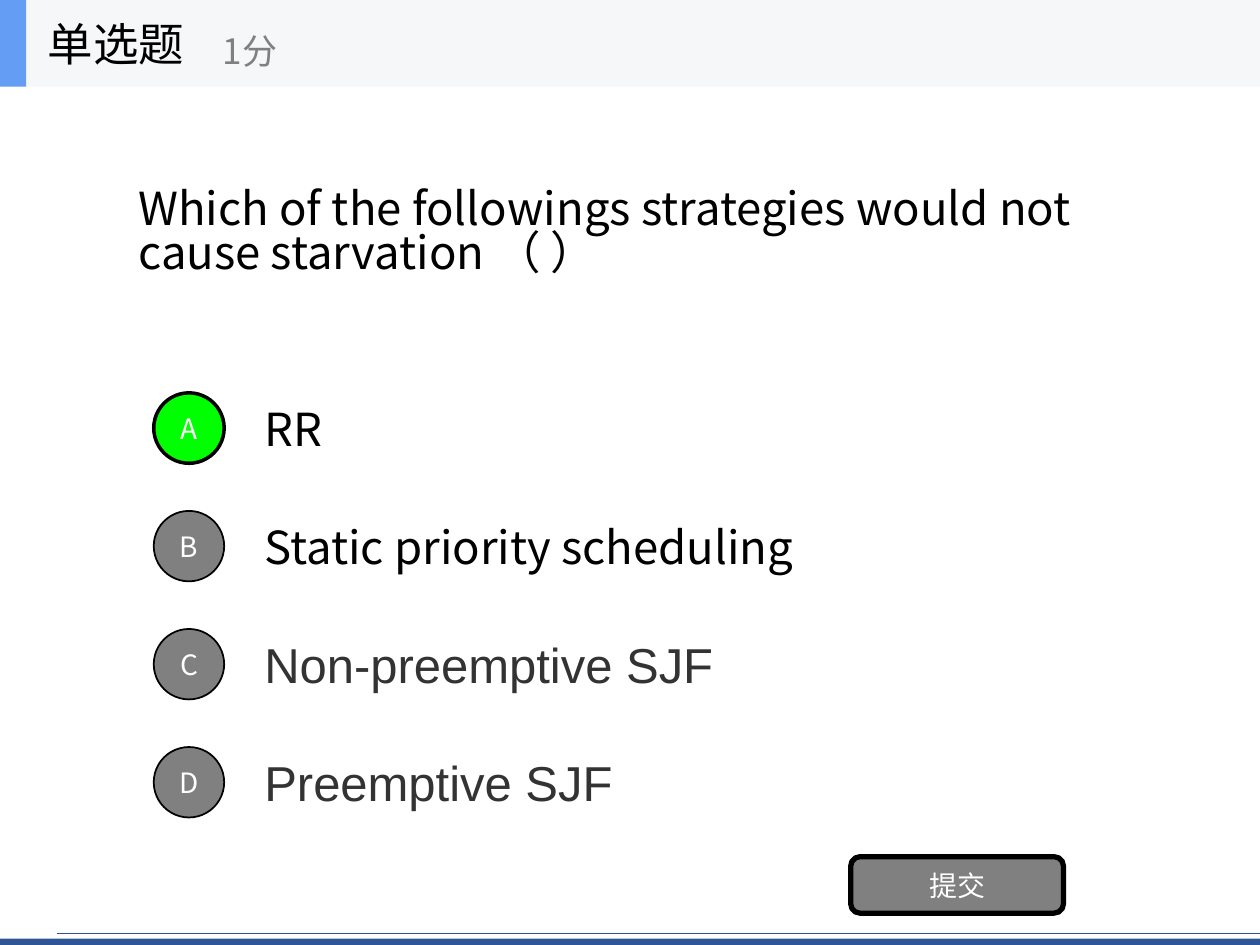
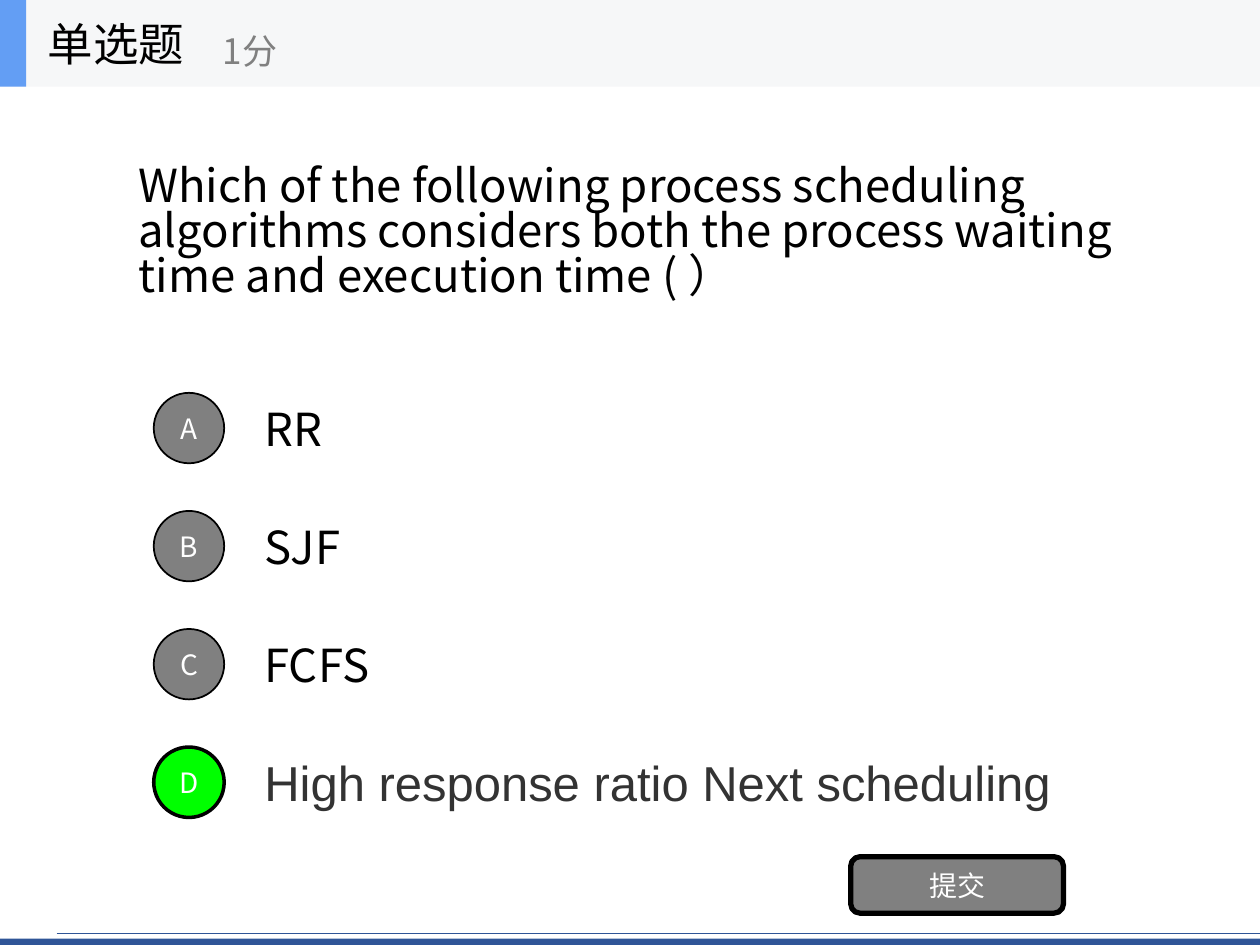
from lxml import etree
from pptx import Presentation
from pptx.dml.color import RGBColor
from pptx.enum.shapes import MSO_CONNECTOR, MSO_SHAPE
from pptx.enum.text import MSO_ANCHOR, PP_ALIGN
from pptx.oxml.ns import qn
from pptx.util import Cm, Pt

RECT, OVAL, ROUNDED = MSO_SHAPE.RECTANGLE, MSO_SHAPE.OVAL, MSO_SHAPE.ROUNDED_RECTANGLE
STRAIGHT = MSO_CONNECTOR.STRAIGHT
MIDDLE, CENTER = MSO_ANCHOR.MIDDLE, PP_ALIGN.CENTER

BLACK = RGBColor(0x00, 0x00, 0x00)
WHITE = RGBColor(0xFF, 0xFF, 0xFF)
GRAY = RGBColor(0x80, 0x80, 0x80)
CHARCOAL = RGBColor(0x33, 0x33, 0x33)
GREEN = RGBColor(0x00, 0xFF, 0x00)
NAVY = RGBColor(0x2F, 0x55, 0x97)
SKY = RGBColor(0x63, 0x9E, 0xF4)
PALE = RGBColor(0xF6, 0xF7, 0xF8)

SANS = "Noto Sans CJK SC"
BODY = {"name": SANS, "size": Pt(26)}
PASTED = {"name": "Arial", "size": Pt(28)}
POINTS = {"name": SANS, "size": Pt(20)}
LABEL = {"name": SANS, "size": Pt(16)}

WIDTH, HEIGHT = 25.4, 19.05
HEADER_BOX = (0, 0, WIDTH, 1.75)
QUESTION_BOX = (2.54, 1.75, 20.32, 5.94)
OPTIONS_BOX = (3.1, 7.74, 19.76, 8.92)
SUBMIT_BOX = (17.15, 17.27, 4.29, 1.14)
FOOTER_BOX = (0, 18.82, WIDTH, 0.23)
OPTION_HEIGHT, MARKER_SIZE, MARKER_COLUMN = 1.78, 1.42, 1.98

QUIZ = [
    {
        "question": "Which of the followings strategies would not cause starvation （ ）",
        "options": [
            ("RR", BODY, BLACK),
            ("Static priority scheduling", BODY, BLACK),
            ("Non-preemptive SJF", PASTED, CHARCOAL),
            ("Preemptive SJF", PASTED, CHARCOAL),
        ],
        "answer": "A",
    },
    {
        "question": "Which of the following process scheduling algorithms considers "
                    "both the process waiting time and execution time ( ）",
        "options": [
            ("RR", BODY, BLACK),
            ("SJF", BODY, BLACK),
            ("FCFS", BODY, BLACK),
            ("High response ratio Next scheduling", PASTED, CHARCOAL),
        ],
        "answer": "D",
    },
]


def write(frame, text, style, color):
    """Put one styled, vertically centred paragraph in a frame."""
    frame.word_wrap = True
    frame.vertical_anchor = MIDDLE
    paragraph = frame.paragraphs[0]
    run = paragraph.add_run()
    run.text = text
    for attribute, value in style.items():
        setattr(run.font, attribute, value)
    run.font.color.rgb = color
    east_asian = etree.SubElement(run.font._element, qn("a:ea"))
    east_asian.set("typeface", style["name"])
    return paragraph


def add_text(slide, box, text, style, color):
    """Add a text box and return its paragraph."""
    frame = slide.shapes.add_textbox(*map(Cm, box)).text_frame
    return write(frame, text, style, color)


def add_block(slide, kind, box, fill, outline=0):
    """Add a filled shape with an optional black outline in points."""
    block = slide.shapes.add_shape(kind, *map(Cm, box))
    block.shadow.inherit = False
    block.fill.solid()
    block.fill.fore_color.rgb = fill
    if outline:
        block.line.color.rgb = BLACK
        block.line.width = Pt(outline)
    else:
        block.line.fill.background()
    return block


def add_button(slide, kind, box, text, fill, outline):
    """Add an outlined shape with a centred white label."""
    frame = add_block(slide, kind, box, fill, outline).text_frame
    for side in ("left", "right", "top", "bottom"):
        setattr(frame, f"margin_{side}", 0)
    write(frame, text, LABEL, WHITE).alignment = CENTER


def add_footer(slide, box):
    """Draw the thin rule and the bar along the bottom edge."""
    left, top, width, height = box
    bar = 0.13
    add_block(slide, RECT, (left, top + height - bar, width, bar), NAVY)
    rule = slide.shapes.add_connector(
        STRAIGHT, Cm(left + 1.14), Cm(top), Cm(left + width), Cm(top))
    rule.line.color.rgb = NAVY
    rule.line.width = Pt(0.5)
    etree.SubElement(rule.line._get_or_add_ln().getparent(), qn("a:effectLst"))


def add_header(slide, box):
    """Draw the header band with question type and points."""
    left, top, width, height = box
    add_block(slide, RECT, box, PALE)
    add_block(slide, RECT, (left, top, 0.53, height), SKY)
    add_text(slide, (left + 0.71, top, 5.28, height), "单选题", BODY, BLACK)
    add_text(slide, (left + 4.24, top + 0.3, 6.35, 1.42), "1分", POINTS, GRAY)


def add_options(slide, box, options, answer):
    """Stack the lettered options evenly and highlight the answer."""
    left, top, width, height = box
    pitch = (height - OPTION_HEIGHT) / (len(options) - 1)
    inset = (OPTION_HEIGHT - MARKER_SIZE) / 2
    for row, (letter, option) in enumerate(zip("ABCD", options)):
        y = top + row * pitch
        add_text(slide, (left + MARKER_COLUMN, y, width - MARKER_COLUMN, OPTION_HEIGHT), *option)
        fill, outline = (GREEN, 2) if letter == answer else (GRAY, 1)
        marker = (left, y + inset, MARKER_SIZE, MARKER_SIZE)
        add_button(slide, OVAL, marker, letter, fill, outline)


def add_quiz_slide(deck, question, options, answer):
    """Add one single-choice question slide."""
    slide = deck.slides.add_slide(deck.slide_layouts[6])
    add_footer(slide, FOOTER_BOX)
    add_text(slide, QUESTION_BOX, question, BODY, BLACK).line_spacing = 0.82
    add_options(slide, OPTIONS_BOX, options, answer)
    add_button(slide, ROUNDED, SUBMIT_BOX, "提交", GRAY, 3)
    add_header(slide, HEADER_BOX)


def main():
    """Build and save the quiz deck."""
    deck = Presentation()
    deck.slide_width, deck.slide_height = Cm(WIDTH), Cm(HEIGHT)
    for item in QUIZ:
        add_quiz_slide(deck, **item)
    deck.save("out.pptx")


if __name__ == "__main__":
    main()
